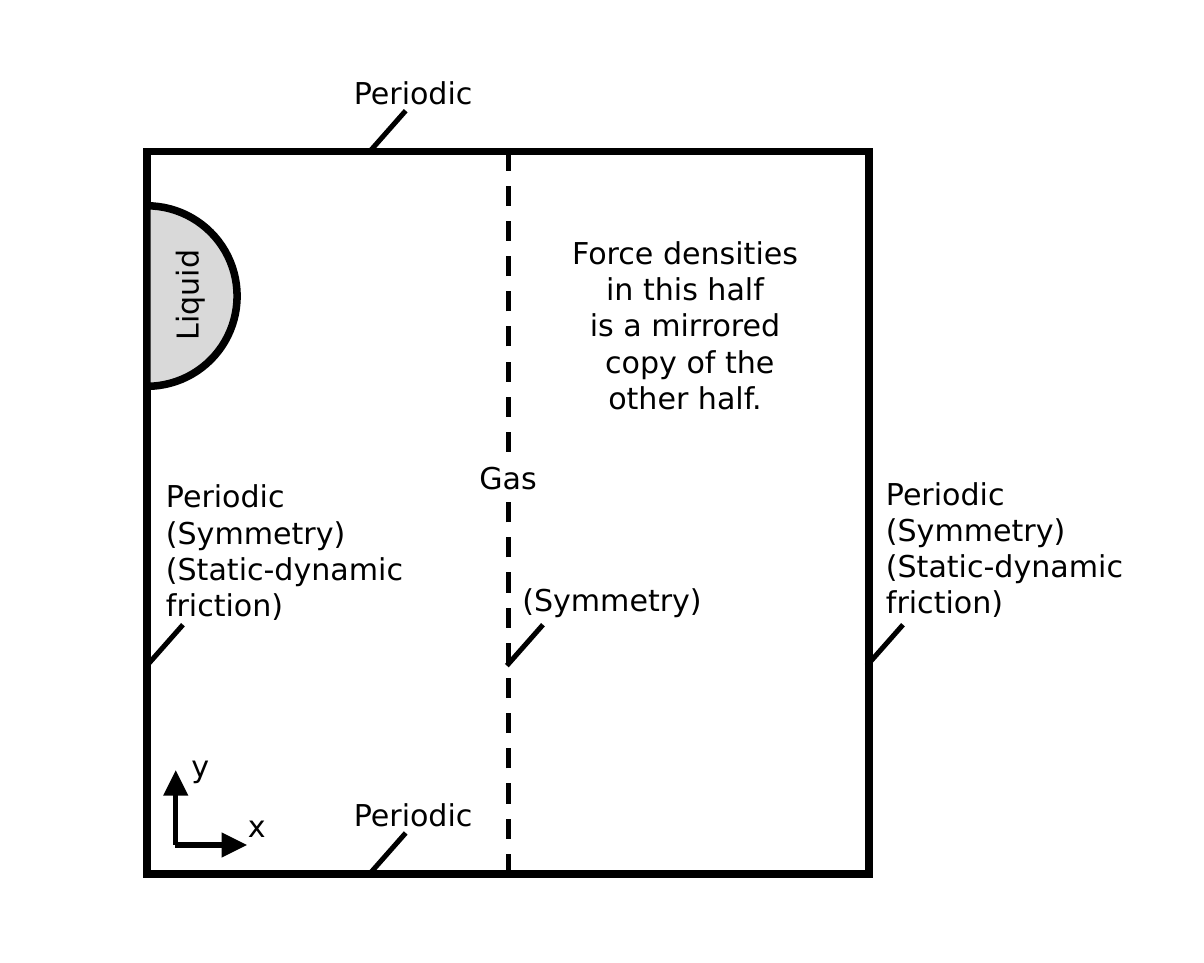
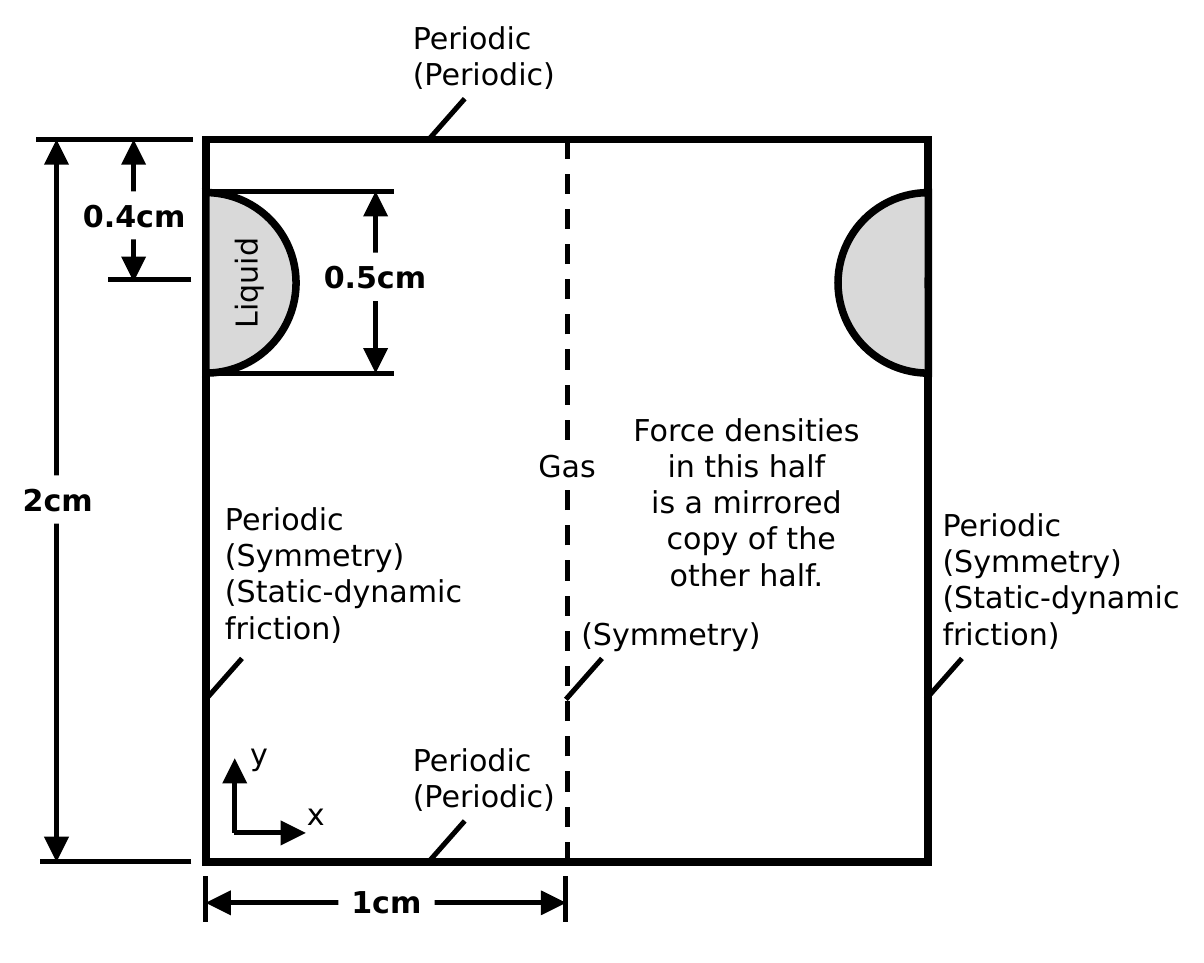
from lxml.etree import SubElement
from pptx import Presentation
from pptx.dml.color import RGBColor
from pptx.enum.dml import MSO_LINE
from pptx.enum.shapes import MSO_CONNECTOR, MSO_SHAPE
from pptx.enum.text import MSO_AUTO_SIZE, PP_ALIGN
from pptx.oxml.ns import qn
from pptx.util import Emu, Pt

# Shared style
BLACK = RGBColor(0x00, 0x00, 0x00)
WHITE = RGBColor(0xFF, 0xFF, 0xFF)
LIQUID_GREY = RGBColor(0xD9, 0xD9, 0xD9)
FONT = "DejaVu Sans"
TEXT_SIZE = Pt(18)
THIN, THICK = Pt(3), Pt(4.5)

# Lengths in px, 100 px to the inch
SCALE = 9144
SIDE = 600
DROP = 150
LINE_HEIGHT = 36

# Repeated wording: paragraphs, each a list of lines
WALL_NOTE = [["Periodic"], ["(Symmetry)", "(Static-dynamic ", "friction)"]]
MIRROR_NOTE = [["Force densities ", "in this half ", "is a mirrored ",
                "copy of the", "other half. "]]


def emu(length):
    return Emu(length * SCALE)


class Diagram:
    """Draws on the current slide, measured from the domain's top left corner."""

    def __init__(self, presentation):
        self.presentation = presentation
        self.slide = None
        self.left = self.top = 0

    def new_slide(self, left, top):
        self.slide = self.presentation.slides.add_slide(
            self.presentation.slide_layouts[6])
        self.left, self.top = left, top

    def place(self, x, y):
        return emu(self.left + x), emu(self.top + y)

    # Basic elements
    def shape(self, kind, x, y, size, fill):
        shape = self.slide.shapes.add_shape(
            kind, *self.place(x, y), emu(size), emu(size))
        shape.shadow.inherit = False
        shape.fill.solid()
        shape.fill.fore_color.rgb = fill
        shape.line.color.rgb = BLACK
        shape.line.width = THICK
        outline = shape._element.spPr.find(qn("a:ln"))
        SubElement(outline, qn("a:miter"), lim="800000")
        return shape

    def line(self, start, end, arrows=(), dashed=False):
        connector = self.slide.shapes.add_connector(
            MSO_CONNECTOR.STRAIGHT, *self.place(*start), *self.place(*end))
        connector.line.color.rgb = BLACK
        connector.line.width = THIN
        if dashed:
            connector.line.dash_style = MSO_LINE.DASH
        properties = connector._element.spPr
        for arrow in arrows:
            SubElement(properties.find(qn("a:ln")), qn("a:" + arrow),
                       type="triangle", w="lg", len="lg")
        SubElement(properties, qn("a:effectLst"))
        return connector

    def text(self, x, y, width, paragraphs, centred=False, bold=False,
             fill=None, rotation=0):
        line_count = sum(len(lines) for lines in paragraphs)
        height = 40 + LINE_HEIGHT * (line_count - 1)
        box = self.slide.shapes.add_textbox(
            *self.place(x, y), emu(width), emu(height))
        box.rotation = rotation
        if fill is not None:
            box.fill.solid()
            box.fill.fore_color.rgb = fill
        frame = box.text_frame
        frame.word_wrap = False
        frame.auto_size = MSO_AUTO_SIZE.SHAPE_TO_FIT_TEXT
        for number, lines in enumerate(paragraphs):
            paragraph = frame.add_paragraph() if number else frame.paragraphs[0]
            paragraph.alignment = PP_ALIGN.CENTER if centred else PP_ALIGN.LEFT
            for index, words in enumerate(lines):
                if index:
                    paragraph.add_line_break()
                run = paragraph.add_run()
                run.text = words
                run.font.name = FONT
                run.font.size = TEXT_SIZE
                run.font.bold = bold
                run.font.color.rgb = BLACK

    # Parts of the figure
    def callout(self, x, y):
        self.line((x + 30, y - 34), (x, y))

    def drop(self, x, y, rotation=0):
        half_disc = self.shape(MSO_SHAPE.PIE, x, y, DROP, LIQUID_GREY)
        half_disc.adjustments[0] = 162  # 270 degrees
        half_disc.adjustments[1] = 54   # 90 degrees
        half_disc.rotation = rotation

    def dimension(self, start, end, extensions, label, x, y, width):
        self.line(start, end, arrows=("headEnd", "tailEnd"))
        for extension in extensions:
            self.line(*extension)
        self.text(x, y, width, [[label]], centred=True, bold=True, fill=WHITE)

    def domain(self, edge_lines, edge_width, drop_top, callout_y,
               left_note_y, right_note, mirror_note):
        # Box and symmetry line
        box = self.shape(MSO_SHAPE.RECTANGLE, 0, 0, SIDE, WHITE)
        symmetry = self.line((SIDE // 2, SIDE), (SIDE // 2, 0), dashed=True)
        symmetry.begin_connect(box, 2)
        symmetry.end_connect(box, 0)
        self.text(266, 251, 68, [["Gas"]], centred=True, fill=WHITE)

        # Axes
        self.line((24, 576), (24, 514), arrows=["tailEnd"])
        self.line((23, 576), (83, 576), arrows=["tailEnd"])
        self.text(74, 540, 35, [["x"]])
        self.text(27, 490, 35, [["y"]])

        # Top and bottom edges
        for edge in (0, SIDE):
            label_top = edge - 69 - LINE_HEIGHT * (len(edge_lines) - 1)
            self.text(162, label_top, edge_width, [edge_lines])
            self.callout(185, edge)

        # Liquid
        self.drop(-75, drop_top)
        self.text(-15, 99, 96, [["Liquid"]], centred=True, rotation=270)

        # Walls and symmetry line
        self.text(6, left_note_y, 231, WALL_NOTE)
        self.text(*right_note, 231, WALL_NOTE)
        self.text(302, callout_y - 75, 174, [["(Symmetry)"]])
        for x in (0, 299, 598):
            self.callout(x, callout_y)
        self.text(*mirror_note, 218, MIRROR_NOTE, centred=True)


def main():
    presentation = Presentation()
    presentation.slide_width, presentation.slide_height = emu(1000), emu(800)
    diagram = Diagram(presentation)

    # Slide 1: boundary conditions
    diagram.new_slide(122, 126)
    diagram.domain(["Periodic"], 119, drop_top=45, callout_y=427,
                   left_note_y=266, right_note=(604, 264),
                   mirror_note=(342, 64))

    # Slide 2: boundary conditions with dimensions
    diagram.new_slide(171, 116)
    diagram.domain(["Periodic", "(Periodic)"], 142, drop_top=44, callout_y=465,
                   left_note_y=295, right_note=(602, 300),
                   mirror_note=(344, 221))
    diagram.drop(525, 44, rotation=180)
    diagram.dimension((-124, 0), (-124, SIDE),
                      [((-11, 0), (-141, 0)), ((-12, SIDE), (-138, SIDE))],
                      "2cm", -163, 279, 80)
    diagram.dimension((-60, 118), (-60, 0), [((-12, 116), (-81, 116))],
                      "0.4cm", -113, 43, 107)
    diagram.dimension((141, 194), (141, 43),
                      [((156, 194), (-2, 194)), ((156, 43), (0, 43))],
                      "0.5cm", 87, 94, 107)
    diagram.dimension((299, 634), (0, 634),
                      [((x, 612), (x, 650)) for x in (0, 299)],
                      "1cm", 110, 613, 80)

    presentation.save("out.pptx")


if __name__ == "__main__":
    main()
